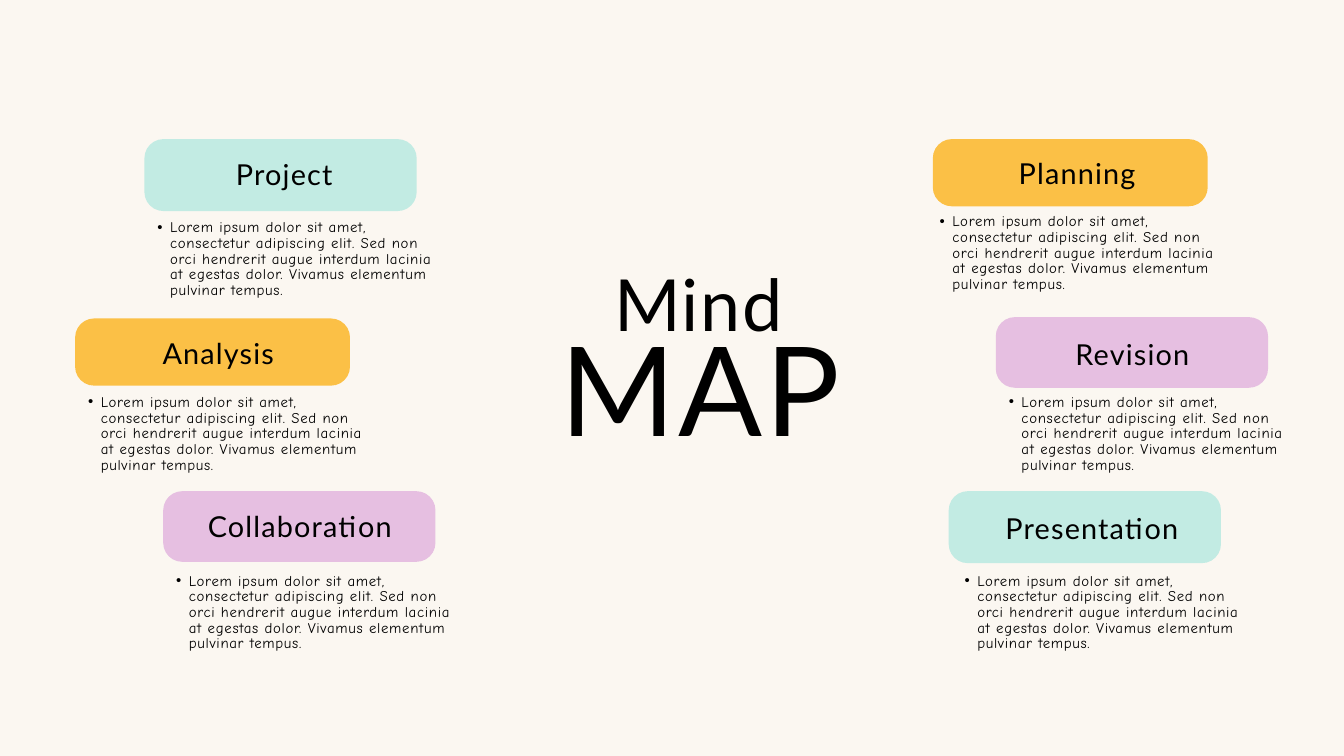
from lxml.etree import SubElement
from pptx import Presentation
from pptx.dml.color import RGBColor
from pptx.enum.shapes import MSO_SHAPE
from pptx.enum.text import MSO_AUTO_SIZE, PP_ALIGN
from pptx.oxml.ns import qn
from pptx.util import Cm, Pt

COLORS = {
    "background": "FBF7F1",
    "text": "000000",
    "mint": "C2EBE3",
    "amber": "FBC046",
    "lilac": "E6BFE1",
}

# Box width and height in cm, shared by boxes of one colour
BOX_SIZES = {"mint": (10.29, 2.72), "amber": (10.39, 2.54), "lilac": (10.29, 2.67)}
CORNER = 0.72
LABEL_SIZE = (8.59, 1.17)
NOTE_SIZE = (11.13, 2.36)

# Text styles: font, size, line spacing and letter spacing in points
STYLES = {
    "title_top": {"name": "Lato", "size": 77, "line": 76.2, "letter": 1.7},
    "title_main": {"name": "Lato", "size": 133.1, "line": 131.7, "letter": 2.9},
    "label": {"name": "Lato", "size": 30.9, "line": 32.5, "letter": 1.3},
    "note": {"name": "Comic Neue", "size": 15.9, "line": 16.7, "letter": 0.7},
}

FRAME_FORMAT = {
    "margin_left": 0, "margin_top": 0, "margin_right": 0, "margin_bottom": 0,
    "word_wrap": True, "auto_size": MSO_AUTO_SIZE.SHAPE_TO_FIT_TEXT,
}

NOTE = ("Lorem ipsum dolor sit amet, consectetur adipiscing elit. Sed non orci "
        "hendrerit augue interdum lacinia at egestas dolor. Vivamus elementum "
        "pulvinar tempus.")

# Topic, colour, then left and top in cm of box, label and note
TOPICS = [
    ("Project", "mint", (5.46, 5.26), (6.45, 6.1), (5.46, 8.33)),
    ("Analysis", "amber", (2.84, 12.04), (3.96, 12.85), (2.84, 14.94)),
    ("Collaboration", "lilac", (6.17, 18.57), (7.04, 19.41), (6.17, 21.69)),
    ("Planning", "amber", (35.26, 5.26), (36.42, 6.05), (35.03, 8.1)),
    ("Revision", "lilac", (37.64, 11.99), (38.51, 12.88), (37.64, 14.94)),
    ("Presentation", "mint", (35.86, 18.57), (36.98, 19.48), (35.97, 21.69)),
]


def rgb(name):
    return RGBColor.from_string(COLORS[name])


def set_attributes(target, values):
    for key, value in values.items():
        setattr(target, key, value)


def add_bullet(p):
    p.level = 1
    pPr = p._p.get_or_add_pPr()
    pPr.set("marL", str(Cm(0.97)))
    pPr.set("indent", str(Cm(-0.48)))
    SubElement(pPr, qn("a:buFont"), typeface="Arial")
    SubElement(pPr, qn("a:buChar"), char="•")


def add_text(s, text, position, size, style_name, bullet=False):
    style = STYLES[style_name]
    tf = s.shapes.add_textbox(*map(Cm, position + size)).text_frame
    set_attributes(tf, FRAME_FORMAT)
    p = tf.paragraphs[0]
    if bullet:
        add_bullet(p)
    else:
        p.alignment = PP_ALIGN.CENTER
    p.line_spacing = Pt(style["line"])
    r = p.add_run()
    r.text = text
    set_attributes(r.font, {"name": style["name"], "size": Pt(style["size"])})
    r.font.color.rgb = rgb("text")
    r.font._element.set("spc", str(round(style["letter"] * 100)))


def add_box(s, position, color):
    size = BOX_SIZES[color]
    sp = s.shapes.add_shape(MSO_SHAPE.ROUNDED_RECTANGLE, *map(Cm, position + size))
    sp.adjustments[0] = CORNER / min(size)
    sp.shadow.inherit = False
    sp.fill.solid()
    sp.fill.fore_color.rgb = rgb(color)
    sp.line.fill.background()


def add_topic(s, name, color, box, label, note):
    add_box(s, box, color)
    add_text(s, name, label, LABEL_SIZE, "label")
    add_text(s, NOTE, note, NOTE_SIZE, "note", bullet=True)


def main():
    prs = Presentation()
    set_attributes(prs, {"slide_width": Cm(50.8), "slide_height": Cm(28.58)})
    s = prs.slides.add_slide(prs.slide_layouts[6])
    s.background.fill.solid()
    s.background.fill.fore_color.rgb = rgb("background")

    # Title in the centre
    add_text(s, "Mind", (18.36, 10.39), (16.08, 2.84), "title_top")
    add_text(s, "MAP", (19.71, 12.78), (13.51, 4.88), "title_main")

    # Topics on both sides
    for topic in TOPICS:
        add_topic(s, *topic)

    prs.save("out.pptx")


if __name__ == "__main__":
    main()
